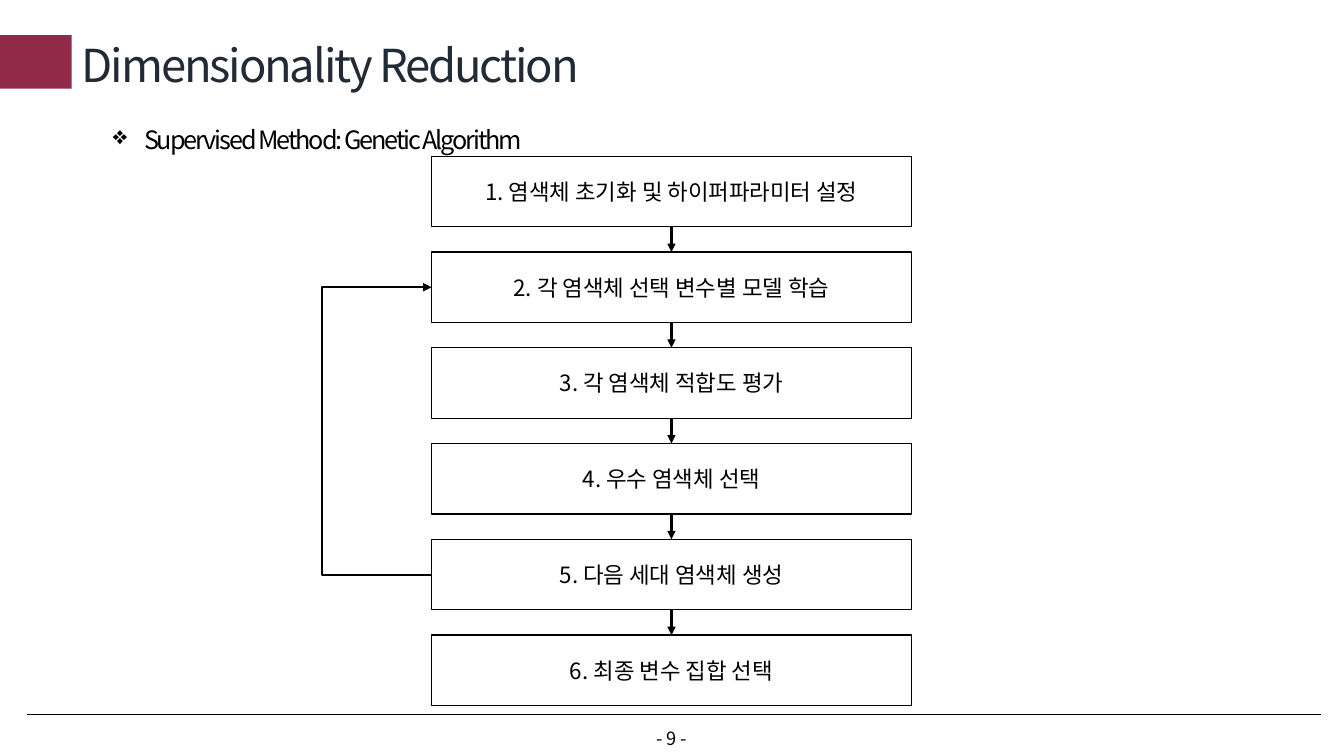
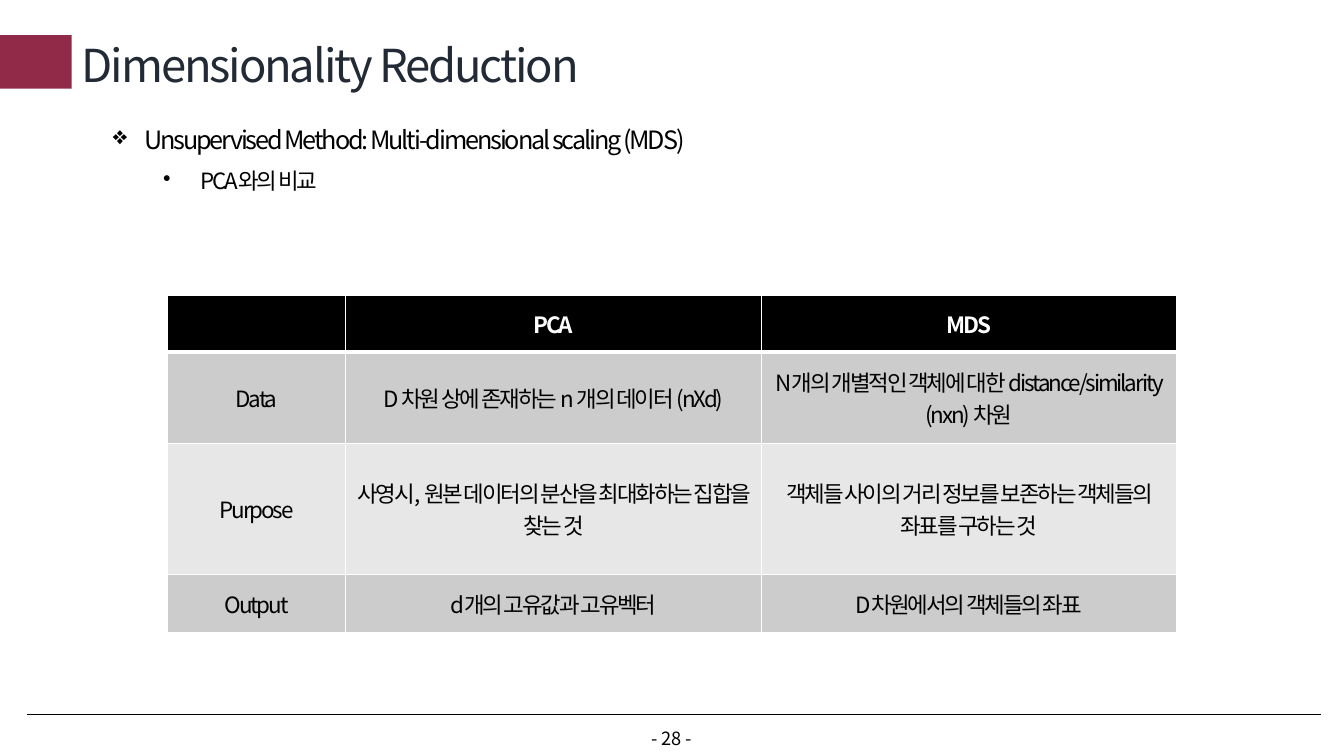
import pptx
import pptx.util
import pptx.dml.color
import pptx.enum.dml
import pptx.enum.shapes
import pptx.enum.text
import pptx.oxml
import pptx.oxml.ns
import lxml.etree

Inches = pptx.util.Inches
Pt = pptx.util.Pt
RGBColor = pptx.dml.color.RGBColor
Align = pptx.enum.text.PP_ALIGN
Anchor = pptx.enum.text.MSO_ANCHOR
Shape = pptx.enum.shapes.MSO_SHAPE
Connector = pptx.enum.shapes.MSO_CONNECTOR
qn = pptx.oxml.ns.qn

BLACK = RGBColor(0x00, 0x00, 0x00)
WHITE = RGBColor(0xFF, 0xFF, 0xFF)
CRIMSON = RGBColor(0x90, 0x2A, 0x48)
NAVY = RGBColor(0x22, 0x2A, 0x35)
GREY = RGBColor(0xCC, 0xCC, 0xCC)
PALE_GREY = RGBColor(0xE7, 0xE7, 0xE7)

FONT = "Noto Sans CJK KR"
TIGHT = -1.5

TITLE = "Dimensionality Reduction"
STEPS = [
    "1. 염색체 초기화 및 하이퍼파라미터 설정",
    "2. 각 염색체 선택 변수별 모델 학습",
    "3. 각 염색체 적합도 평가",
    "4. 우수 염색체 선택",
    "5. 다음 세대 염색체 생성",
    "6. 최종 변수 집합 선택",
]
LOOP_START, LOOP_END = 4, 1
COMPARISON = [
    ["", "PCA", "MDS"],
    ["Data", "D 차원 상에 존재하는 n 개의 데이터 (nXd)",
     "N개의 개별적인 객체에 대한 distance/similarity (nxn) 차원"],
    ["Purpose", "사영시, 원본 데이터의 분산을 최대화하는 집합을 찾는 것",
     "객체들 사이의 거리 정보를 보존하는 객체들의 좌표를 구하는 것"],
    ["Output", "d개의 고유값과 고유벡터", "D차원에서의 객체들의 좌표"],
]
COLUMN_WIDTHS = [1.77, 4.12, 4.12]
ROW_HEIGHTS = [0.56, 0.91, 1.3, 0.58]
BULLETS = [
    {"mark": "❖", "size": 18, "margin": 0.31, "hang": 0.31},
    {"mark": "•", "size": 16, "margin": 0.87, "hang": 0.37},
]


def apply(target, values):
    for name, value in values.items():
        setattr(target, name, value)


def write(para, text, size, color=BLACK, bold=False, spacing=0, **layout):
    apply(para, layout)
    span = para.add_run()
    span.text = text
    apply(span.font, {"name": FONT, "size": Pt(size), "bold": bold})
    span.font.color.rgb = color
    properties = span.font._element
    if spacing:
        properties.set("spc", str(int(spacing * 100)))
    east_asian = lxml.etree.SubElement(properties, qn("a:ea"))
    east_asian.set("typeface", FONT)


def add_text_box(slide, left, top, width, height):
    box = slide.shapes.add_textbox(
        Inches(left), Inches(top), Inches(width), Inches(height))
    box.text_frame.word_wrap = True
    return box.text_frame


def style_line(shape, width, arrow=False):
    shape.line.color.rgb = BLACK
    shape.line.width = Pt(width)
    properties = shape.element.spPr
    if arrow:
        outline = properties.find(qn("a:ln"))
        lxml.etree.SubElement(outline, qn("a:tailEnd")).set("type", "triangle")
    lxml.etree.SubElement(properties, qn("a:effectLst"))


def add_line(slide, start, end, width, arrow=False):
    line = slide.shapes.add_connector(
        Connector.STRAIGHT, *(Inches(value) for value in (*start, *end)))
    style_line(line, width, arrow)


def add_page(deck, number):
    slide = deck.slides.add_slide(deck.slide_layouts[5])
    add_line(slide, (0.27, 7.09), (13.1, 7.09), 0.5)

    band = slide.shapes.add_shape(
        Shape.RECTANGLE, 0, Inches(0.35), Inches(0.71), Inches(0.53))
    band.shadow.inherit = False
    band.fill.solid()
    band.fill.fore_color.rgb = CRIMSON
    band.line.fill.background()

    footer = add_text_box(slide, 6.16, 7.17, 1, 0.32)
    write(footer.paragraphs[0], f"- {number} -", 13, alignment=Align.CENTER)

    title = slide.shapes.title
    apply(title, {"left": Inches(0.71), "top": Inches(0.36),
                  "width": Inches(10.82), "height": Inches(0.62)})
    apply(title.text_frame, {"vertical_anchor": Anchor.MIDDLE, "word_wrap": True,
                             "auto_size": pptx.enum.text.MSO_AUTO_SIZE.NONE})
    write(title.text_frame.paragraphs[0], TITLE, 32.4, NAVY, spacing=TIGHT,
          alignment=Align.LEFT, line_spacing=0.9)
    return slide


def add_bullets(slide, left, top, width, height, texts):
    frame = add_text_box(slide, left, top, width, height)
    for level, (text, bullet) in enumerate(zip(texts, BULLETS)):
        para = frame.add_paragraph() if level else frame.paragraphs[0]
        properties = para._p.get_or_add_pPr()
        properties.set("marL", str(Inches(bullet["margin"])))
        properties.set("indent", str(-Inches(bullet["hang"])))
        lxml.etree.SubElement(properties, qn("a:buChar")).set("char", bullet["mark"])
        write(para, text, bullet["size"], spacing=TIGHT, level=level, line_spacing=1.5)


def add_flow(slide, left, top, width, box_height, pitch):
    center = left + width / 2
    for index, step in enumerate(STEPS):
        box_top = top + index * pitch
        box = slide.shapes.add_shape(
            Shape.RECTANGLE, Inches(left), Inches(box_top),
            Inches(width), Inches(box_height))
        box.fill.background()
        style_line(box, 1)
        apply(box.text_frame, {"vertical_anchor": Anchor.MIDDLE, "word_wrap": True})
        write(box.text_frame.paragraphs[0], step, 16, alignment=Align.CENTER)
        if index:
            add_line(slide, (center, box_top - pitch + box_height),
                     (center, box_top), 1.5, arrow=True)

    start, end = (top + index * pitch + box_height / 2
                  for index in (LOOP_START, LOOP_END))
    turn = left - 1.09
    builder = slide.shapes.build_freeform(Inches(left), Inches(start))
    builder.add_line_segments(
        [(Inches(x), Inches(y)) for x, y in ((turn, start), (turn, end), (left, end))],
        close=False)
    loop = builder.convert_to_shape()
    loop.fill.background()
    style_line(loop, 1.5, arrow=True)


def add_borders(cell, bottom):
    properties = cell._tc.get_or_add_tcPr()
    for side, width in (("L", 1), ("R", 1), ("T", 1), ("B", bottom)):
        border = lxml.etree.SubElement(properties, qn(f"a:ln{side}"))
        border.set("w", str(Pt(width)))
        fill = lxml.etree.SubElement(border, qn("a:solidFill"))
        lxml.etree.SubElement(fill, qn("a:srgbClr")).set("val", str(WHITE))


def add_comparison(slide, left, top):
    table = slide.shapes.add_table(
        len(ROW_HEIGHTS), len(COLUMN_WIDTHS), Inches(left), Inches(top),
        Inches(sum(COLUMN_WIDTHS)), Inches(sum(ROW_HEIGHTS))).table
    apply(table, {"first_row": False, "horz_banding": False})
    for column, width in zip(table.columns, COLUMN_WIDTHS):
        column.width = Inches(width)
    for index, (row, height) in enumerate(zip(table.rows, ROW_HEIGHTS)):
        row.height = Inches(height)
        header = index == 0
        fill = BLACK if header else (GREY if index % 2 else PALE_GREY)
        for cell, text in zip(row.cells, COMPARISON[index]):
            add_borders(cell, 3 if header or index == 0 else 1)
            cell.fill.solid()
            cell.fill.fore_color.rgb = fill
            cell.vertical_anchor = Anchor.MIDDLE
            if text:
                write(cell.text_frame.paragraphs[0], text, 16,
                      WHITE if header else BLACK, header, TIGHT,
                      alignment=Align.CENTER)


def build_genetic_slide(deck):
    slide = add_page(deck, 9)
    add_bullets(slide, 1.02, 1.03, 12.22, 0.52,
                ["Supervised Method: Genetic Algorithm"])
    add_flow(slide, 4.28, 1.55, 4.76, 0.7, 0.95)


def build_scaling_slide(deck):
    slide = add_page(deck, 28)
    add_bullets(slide, 1.02, 1.03, 12.22, 0.93,
                ["Unsupervised Method: Multi-dimensional scaling (MDS)",
                 "PCA와의 비교"])
    add_comparison(slide, 1.66, 2.93)


def main():
    deck = pptx.Presentation()
    apply(deck, {"slide_width": Inches(13.33), "slide_height": Inches(7.5)})
    build_genetic_slide(deck)
    build_scaling_slide(deck)
    deck.save("out.pptx")


if __name__ == "__main__":
    main()
